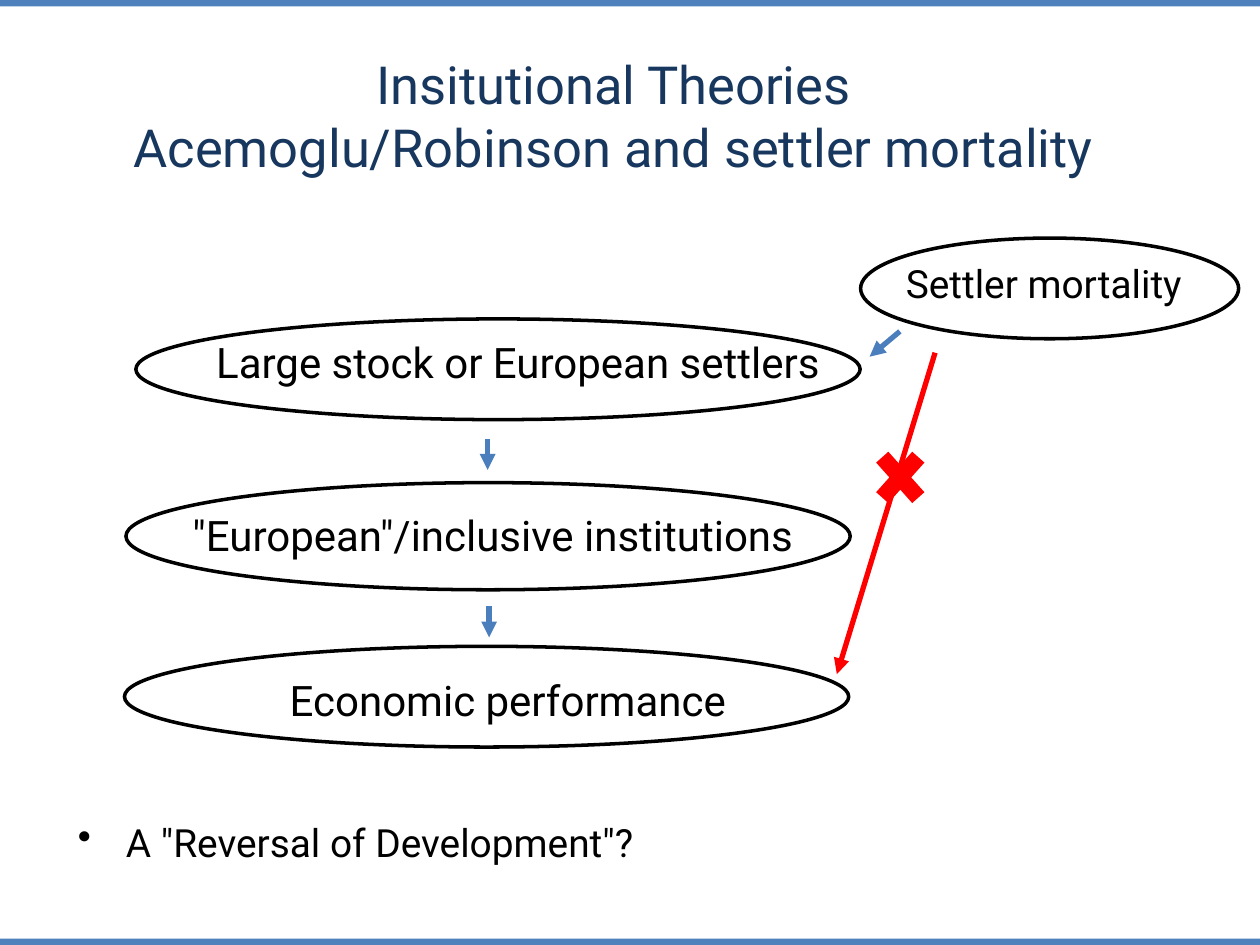
from lxml.etree import SubElement
from pptx import Presentation
from pptx.dml.color import RGBColor
from pptx.enum.shapes import MSO_CONNECTOR, MSO_SHAPE
from pptx.enum.text import MSO_ANCHOR, PP_ALIGN
from pptx.oxml.ns import qn
from pptx.util import Cm, Pt

COLORS = {
    "bar": "4F81BD",
    "title": "17375E",
    "text": "000000",
    "arrow": "4B7EBC",
    "rejected": "FF0000",
}
BODY = {"line_spacing": 0.9, "space_after": Pt(6)}
TITLE = {"alignment": PP_ALIGN.CENTER}
WIDTH, HEIGHT, BAR = 25.4, 19.05, 0.13
NODE_WIDTH = 14.6


class Deck:
    font = "Roboto"

    def __init__(self):
        self.prs = Presentation()
        self.prs.slide_width, self.prs.slide_height = Cm(WIDTH), Cm(HEIGHT)
        self.s = self.prs.slides.add_slide(self.prs.slide_layouts[6])

    def color(self, name):
        return RGBColor.from_string(COLORS[name])

    def shape(self, kind, box, fill=None, line=None):
        sp = self.s.shapes.add_shape(kind, *map(Cm, box))
        sp.shadow.inherit = False
        if fill:
            sp.fill.solid()
            sp.fill.fore_color.rgb = self.color(fill)
        else:
            sp.fill.background()
        if line:
            sp.line.color.rgb = self.color(line)
            sp.line.width = Pt(2)
        else:
            sp.line.fill.background()

    def ellipse(self, box):
        self.shape(MSO_SHAPE.OVAL, box, line="text")

    def text(self, box, text, size, fmt, color="text", anchor=MSO_ANCHOR.TOP, bullet=None):
        tf = self.s.shapes.add_textbox(*map(Cm, box)).text_frame
        tf.word_wrap = True
        tf.vertical_anchor = anchor
        p = tf.paragraphs[0]
        p.text = text
        if bullet:
            pPr = p._p.get_or_add_pPr()
            pPr.set("marL", str(Cm(0.97)))
            pPr.set("indent", str(-Cm(0.97)))
            SubElement(pPr, qn("a:buChar"), char=bullet)
        for name, value in fmt.items():
            setattr(p, name, value)
        for r in p.runs:
            for name, value in {"name": self.font, "size": Pt(size)}.items():
                setattr(r.font, name, value)
            r.font.color.rgb = self.color(color)

    def arrow(self, start, end, color="arrow"):
        c = self.s.shapes.add_connector(MSO_CONNECTOR.STRAIGHT, *map(Cm, start + end))
        c.line.color.rgb = self.color(color)
        c.line.width = Pt(3)
        SubElement(c.line._get_or_add_ln(), qn("a:tailEnd"), type="triangle")
        SubElement(c._element.spPr, qn("a:effectLst"))


def main():
    deck = Deck()
    for top in (0, HEIGHT - BAR):
        deck.shape(MSO_SHAPE.RECTANGLE, (0, top, WIDTH, BAR), fill="bar")

    deck.text((0.94, 1.3, 22.86, 2.03),
              "Insitutional Theories\vAcemoglu/Robinson and settler mortality",
              30, TITLE, "title", MSO_ANCHOR.MIDDLE)

    # label, label box, ellipse left, top and height
    chain = [
        ("Large stock or European settlers", (4.11, 6.78, 13.72, 1.45), (2.74, 6.43, 2.03)),
        ('"European"/inclusive institutions', (3.63, 10.26, 13, 2.21), (2.54, 9.73, 2.16)),
        ("Economic performance", (5.59, 13.59, 9.42, 2.03), (2.51, 13.03, 2.03)),
    ]
    for label, box, (left, top, height) in chain:
        deck.text(box, label, 24, BODY)
        deck.ellipse((left, top, NODE_WIDTH, height))
    for x, y in ((9.83, 8.84), (9.86, 12.22)):
        deck.arrow((x, y), (x, y + 0.63))

    deck.ellipse((17.35, 4.8, 7.62, 2.03))
    deck.text((18.01, 5.36, 6.3, 1.19), "Settler mortality", 22.2, BODY | {"line_spacing": 0.7})
    deck.arrow((18.14, 6.68), (17.53, 7.19))
    deck.arrow((18.85, 7.11), (16.87, 13.59), "rejected")
    deck.shape(MSO_SHAPE.MATH_MULTIPLY, (17.45, 8.84, 1.4, 1.57), fill="rejected")

    deck.text((1.32, 16.56, 22.86, 1.22), 'A "Reversal of Development"?', 22.2,
              BODY | {"line_spacing": 0.8}, bullet="•")
    deck.prs.save("out.pptx")


if __name__ == "__main__":
    main()
